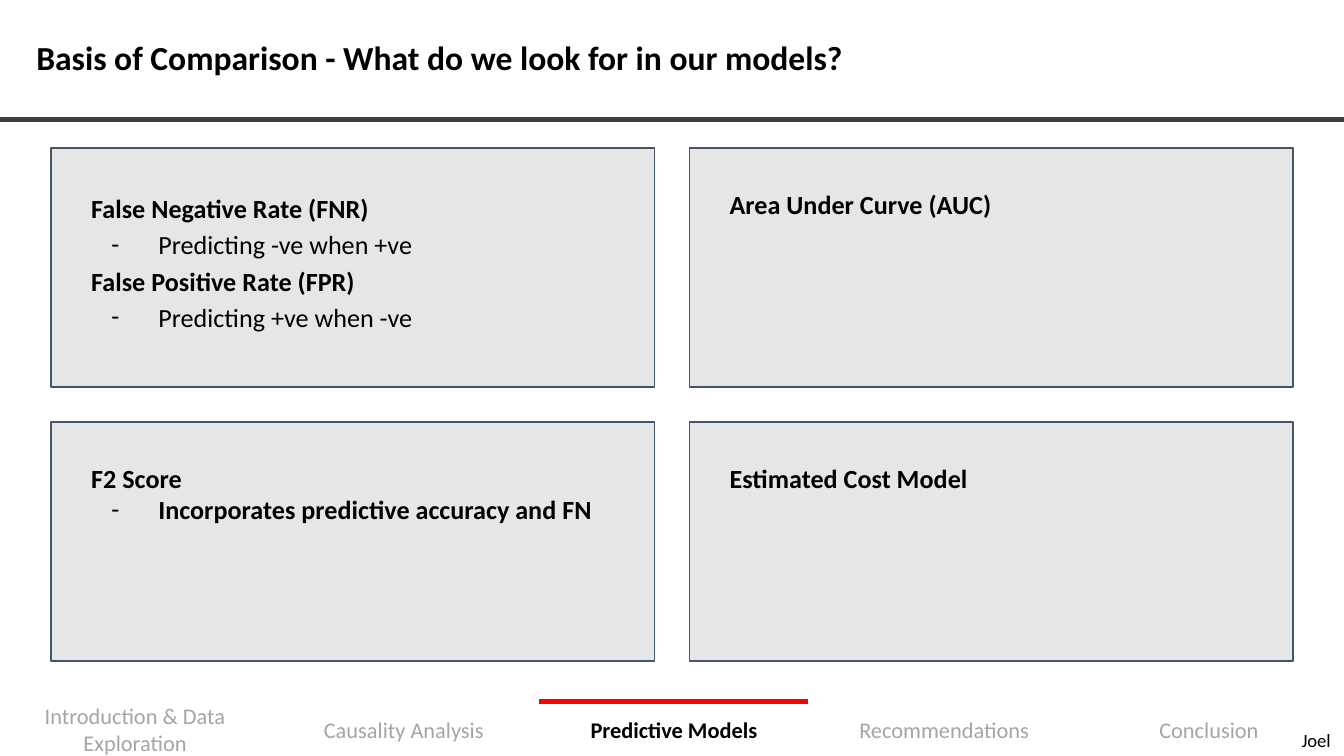
"""Build the slide comparing the bases for judging predictive models."""
from lxml import etree
from pptx import Presentation
from pptx.dml.color import RGBColor
from pptx.enum import shapes, text
from pptx.oxml import ns
from pptx.util import Inches, Pt

BLACK = RGBColor(0x00, 0x00, 0x00)
MUTED = RGBColor(0xA5, 0xA5, 0xA5)
RED = RGBColor(0xFF, 0x00, 0x00)
RULE = RGBColor(0x3F, 0x3F, 0x3E)
PANEL_FILL = RGBColor(0xE7, 0xE6, 0xE6)
PANEL_LINE = RGBColor(0x44, 0x54, 0x6A)
FONT = "Calibri"

TITLE = "Basis of Comparison - What do we look for in our models?"
PRESENTER = "Joel"
SECTIONS = [("Introduction & Data Exploration", 0),
            ("Causality Analysis", 2),
            ("Predictive Models", 4.01),
            ("Recommendations", 6.02),
            ("Conclusion", 7.99)]
CURRENT_SECTION = "Predictive Models"
HEADING, BOLD_POINT, POINT = (False, True), (True, True), (True, False)
PANELS = [
    (1.15, [("False Negative Rate (FNR)", HEADING),
            ("Predicting -ve when +ve", POINT),
            ("False Positive Rate (FPR)", HEADING),
            ("Predicting +ve when -ve", POINT)]),
    (1.0, [("Area Under Curve (AUC)", HEADING)]),
    (1.0, [("F2 Score", HEADING),
           ("Incorporates predictive accuracy and FN", BOLD_POINT)]),
    (1.0, [("Estimated Cost Model", HEADING)]),
]

SLIDE_WIDTH = 10
SLIDE_HEIGHT = SLIDE_WIDTH * 9 / 16
PANEL_LEFT, PANEL_TOP = 0.38, 1.1
PANEL_WIDTH, PANEL_HEIGHT = 4.49, 1.78
COLUMN_STEP, ROW_STEP = 4.75, 2.04
PANEL_PADDING = 0.2
SECTION_TOP, SECTION_WIDTH = 5.22, 2.01


def add_text_frame(slide, left, top, width, height, insets, anchor):
    frame = slide.shapes.add_textbox(
        Inches(left), Inches(top), Inches(width), Inches(height)).text_frame
    frame.word_wrap = True
    frame.vertical_anchor = anchor
    frame.margin_left = frame.margin_right = Inches(insets[0])
    frame.margin_top = frame.margin_bottom = Inches(insets[1])
    return frame


def write(paragraph, words, size, color=BLACK, bold=False,
          alignment=text.PP_ALIGN.LEFT, spacing=1.0):
    paragraph.text = words
    paragraph.alignment = alignment
    paragraph.line_spacing = spacing
    font = paragraph.font
    font.name, font.size, font.bold = FONT, Pt(size), bold
    font.color.rgb = color


def add_dash(paragraph):
    properties = paragraph._p.get_or_add_pPr()
    properties.set("marL", str(Inches(0.5)))
    properties.set("indent", str(Inches(-0.35)))
    bullet_color = etree.SubElement(properties, ns.qn("a:buClr"))
    etree.SubElement(bullet_color, ns.qn("a:srgbClr"), val=str(BLACK))
    etree.SubElement(properties, ns.qn("a:buFont"), typeface=FONT)
    etree.SubElement(properties, ns.qn("a:buChar"), char="-")


def add_rule(slide, left, right, top, color):
    rule = slide.shapes.add_connector(
        shapes.MSO_CONNECTOR.STRAIGHT,
        Inches(left), Inches(top), Inches(right), Inches(top))
    rule.line.color.rgb = color
    rule.line.width = Pt(2.25)
    etree.SubElement(rule._element.spPr, ns.qn("a:effectLst"))


def add_sections(slide):
    for section, left in SECTIONS:
        current = section == CURRENT_SECTION
        frame = add_text_frame(slide, left, SECTION_TOP, SECTION_WIDTH, 0.41,
                               (0.07, 0.04), text.MSO_ANCHOR.MIDDLE)
        write(frame.paragraphs[0], section, 12, BLACK if current else MUTED,
              current, text.PP_ALIGN.CENTER)
        if current:
            add_rule(slide, left, left + 2, SECTION_TOP, RED)


def add_panel(slide, index, spacing, lines):
    row, column = divmod(index, 2)
    left = PANEL_LEFT + column * COLUMN_STEP
    top = PANEL_TOP + row * ROW_STEP
    panel = slide.shapes.add_shape(
        shapes.MSO_SHAPE.RECTANGLE, Inches(left), Inches(top),
        Inches(PANEL_WIDTH), Inches(PANEL_HEIGHT))
    panel.shadow.inherit = False
    panel.fill.solid()
    panel.fill.fore_color.rgb = PANEL_FILL
    panel.line.color.rgb = PANEL_LINE
    panel.line.width = Pt(0.75)

    frame = add_text_frame(
        slide, left + PANEL_PADDING, top + PANEL_PADDING,
        PANEL_WIDTH - 2 * PANEL_PADDING, PANEL_HEIGHT - 2 * PANEL_PADDING,
        (0.1, 0.1), text.MSO_ANCHOR.TOP)
    for number, (words, (dashed, bold)) in enumerate(lines):
        paragraph = frame.add_paragraph() if number else frame.paragraphs[0]
        if dashed:
            add_dash(paragraph)
        write(paragraph, words, 14, bold=bold, spacing=spacing)


def main():
    presentation = Presentation()
    presentation.slide_width = Inches(SLIDE_WIDTH)
    presentation.slide_height = Inches(SLIDE_HEIGHT)
    slide = presentation.slides.add_slide(presentation.slide_layouts[6])

    add_sections(slide)
    add_rule(slide, 0, SLIDE_WIDTH, 0.89, RULE)
    title = add_text_frame(slide, 0.2, 0.07, 8.35, 0.75,
                           (0.07, 0.04), text.MSO_ANCHOR.MIDDLE)
    write(title.paragraphs[0], TITLE, 18, bold=True, spacing=0.9)
    presenter = add_text_frame(slide, 8.97, 5.34, 1.03, 0.37,
                               (0.1, 0.1), text.MSO_ANCHOR.TOP)
    write(presenter.paragraphs[0], PRESENTER, 10,
          alignment=text.PP_ALIGN.RIGHT)
    for index, (spacing, lines) in enumerate(PANELS):
        add_panel(slide, index, spacing, lines)

    presentation.save("out.pptx")


if __name__ == "__main__":
    main()
